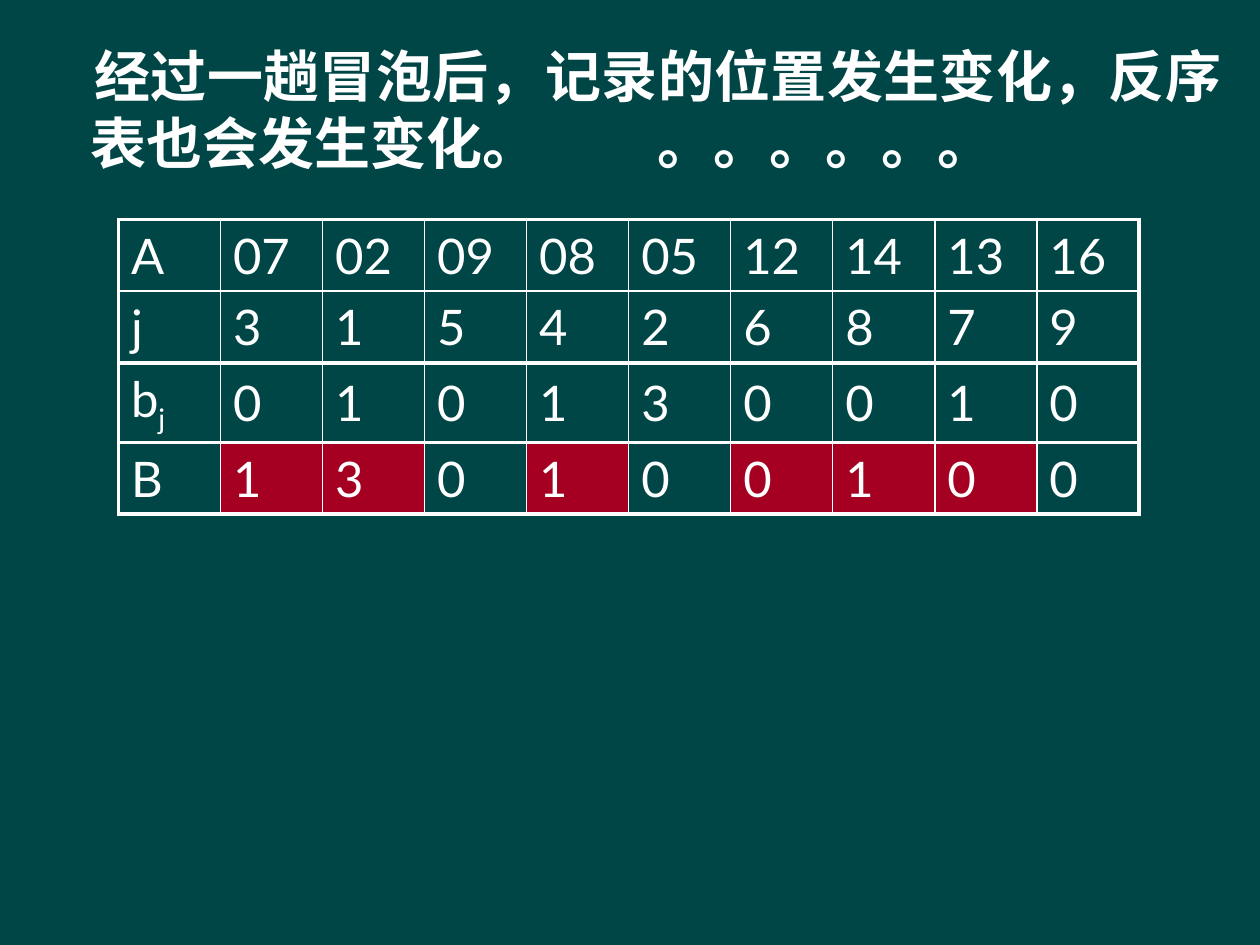
from lxml import etree
from pptx import Presentation, util as u
from pptx.dml.color import RGBColor
from pptx.enum import text
from pptx.oxml.ns import qn

THEME = {
    "bg": "004646", "ink": "FFFFFF", "mark": "A50021",
    "title_font": "Times New Roman", "title_size": 32,
    "cell_font": "Lato", "cell_size": 28,
}
TITLE = "经过一趟冒泡后，记录的位置发生变化，反序表也会发生变化。\t\t。。。。。。"
# Each label is (base, subscript)
ROWS = [
    (("A", ""), ["07", "02", "09", "08", "05", "12", "14", "13", "16"]),
    (("j", ""), [3, 1, 5, 4, 2, 6, 8, 7, 9]),
    (("b", "j"), [0, 1, 0, 1, 3, 0, 0, 1, 0]),
    (("B", ""), [1, 3, 0, 1, 0, 0, 1, 0, 0]),
]
MARKED = {(3, col) for col in (1, 2, 4, 6, 7, 8)}

THICK, THIN = 2.25, 1
N_ROWS, N_COLS = len(ROWS), len(ROWS[0][1]) + 1
ROW_RULES = [THICK, THIN, THICK, THICK, THICK]
COL_RULES = [THICK] + [THIN] * (N_COLS - 1) + [THICK]
COL_W, ROW_H = 0.81, 0.57


def add_run(p, words, font, size, bold=False):
    r = p.add_run()
    r.text = words
    r.font.name, r.font.size, r.font.bold = font, u.Pt(size), bold
    r.font.color.rgb = RGBColor.from_string(THEME["ink"])
    return r


def add_borders(cell, widths):
    """Widths in points, by side letter, in schema order L, R, T, B."""
    props = cell._tc.get_or_add_tcPr()
    for side, width in widths.items():
        ln = etree.SubElement(props, qn(f"a:ln{side}"), w=str(u.Pt(width)))
        fill = etree.SubElement(ln, qn("a:solidFill"))
        etree.SubElement(fill, qn("a:srgbClr"), val=THEME["ink"])


def add_title(s):
    tf = s.shapes.add_textbox(u.Inches(0.24), u.Inches(0.28),
                              u.Inches(9.56), u.Inches(6.89)).text_frame
    tf.word_wrap = True
    p = tf.paragraphs[0]
    p.alignment = text.PP_ALIGN.JUSTIFY
    props = p._p.get_or_add_pPr()
    props.set("marL", str(u.Inches(0.38)))
    props.set("indent", str(u.Inches(0.03)))
    add_run(p, TITLE, THEME["title_font"], THEME["title_size"], bold=True)


def add_inversion_table(s):
    table = s.shapes.add_table(N_ROWS, N_COLS, u.Inches(0.94), u.Inches(1.74),
                               u.Inches(COL_W * N_COLS),
                               u.Inches(ROW_H * N_ROWS)).table
    table.first_row = table.horz_banding = False
    for i, (label, values) in enumerate(ROWS):
        for j, (base, sub) in enumerate([label] + [(str(v), "") for v in values]):
            cell = table.cell(i, j)
            cell.vertical_anchor = text.MSO_ANCHOR.MIDDLE
            p = cell.text_frame.paragraphs[0]
            add_run(p, base, THEME["cell_font"], THEME["cell_size"])
            if sub:
                r = add_run(p, sub, THEME["cell_font"], THEME["cell_size"])
                r.font._element.set("baseline", "-25000")
            add_borders(cell, {"L": COL_RULES[j], "R": COL_RULES[j + 1],
                               "T": ROW_RULES[i], "B": ROW_RULES[i + 1]})
            if (i, j) in MARKED:
                cell.fill.solid()
                cell.fill.fore_color.rgb = RGBColor.from_string(THEME["mark"])
            else:
                cell.fill.background()


def main():
    prs = Presentation()
    prs.slide_width, prs.slide_height = u.Inches(10), u.Inches(7.5)
    s = prs.slides.add_slide(prs.slide_layouts[6])
    s.background.fill.solid()
    s.background.fill.fore_color.rgb = RGBColor.from_string(THEME["bg"])
    add_title(s)
    add_inversion_table(s)
    prs.save("out.pptx")


if __name__ == "__main__":
    main()
